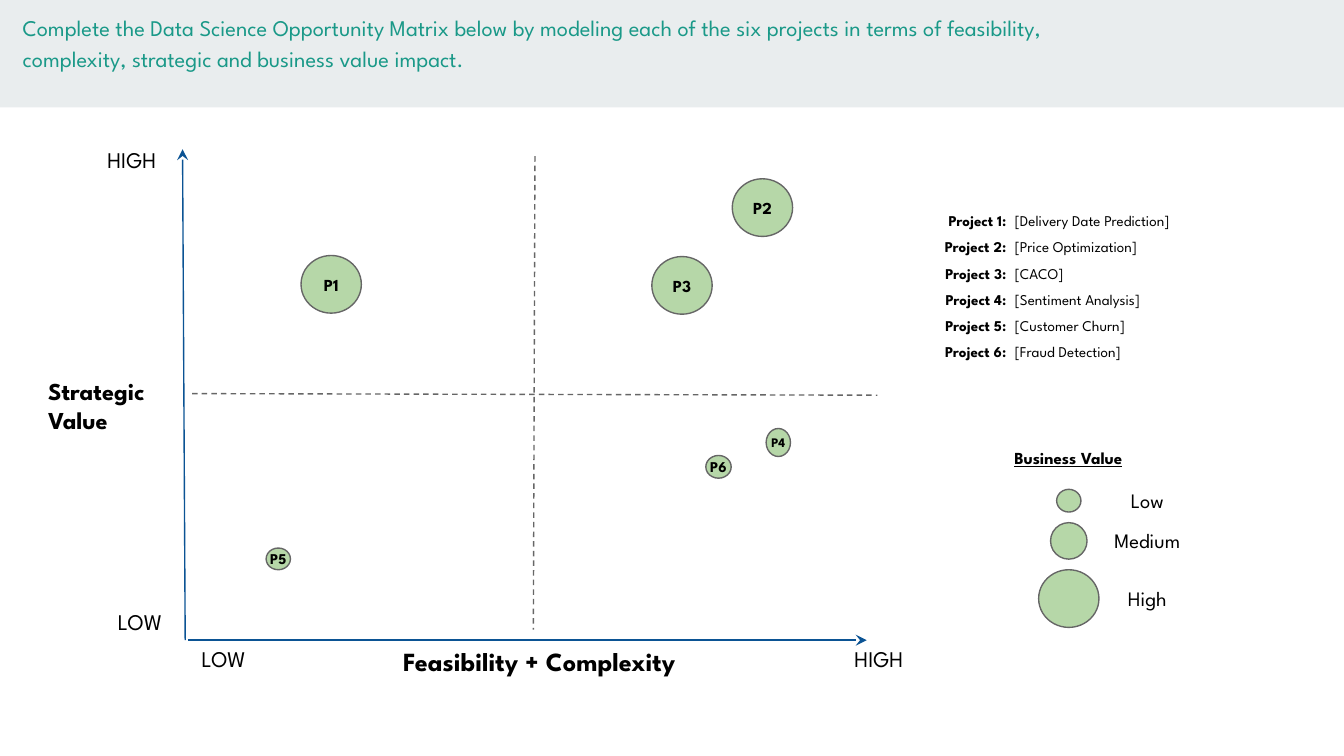
from lxml.etree import SubElement
from pptx import Presentation
from pptx.dml.color import RGBColor
from pptx.enum.dml import MSO_LINE
from pptx.enum.shapes import MSO_CONNECTOR, MSO_SHAPE
from pptx.enum.text import MSO_ANCHOR as ANCHOR, PP_ALIGN as ALIGN
from pptx.oxml.ns import qn
from pptx.util import Cm, Pt

FONT = "League Spartan"
COLORS = {
    "band": "E9EDEE", "teal": "1A9988", "text": "000000",
    "axis": "0B5394", "outline": "666666", "bubble": "B6D7A8",
}
SIZES = {"Low": (0.46, 0.43), "Medium": (0.69, 0.69), "High": (1.14, 1.09)}
PROJECTS = [
    ("Delivery Date Prediction", 0.23), ("Price Optimization", 0.46),
    ("CACO", 0.51), ("Sentiment Analysis", 0.33),
    ("Customer Churn", 0.38), ("Fraud Detection", 0.33),
]


def color(name):
    """Return the named palette colour."""
    return RGBColor.from_string(COLORS[name])


def write(tf, text, size=12, bold=False, underline=False, fill="text",
          align=ALIGN.LEFT, spacing=None):
    """Write one formatted paragraph into a text frame."""
    p = tf.paragraphs[0]
    p.alignment = align
    if spacing:
        p.line_spacing = spacing
    r = p.add_run()
    r.text = text
    r.font.name, r.font.size = FONT, Pt(size)
    r.font.bold, r.font.underline = bold, underline
    r.font.color.rgb = color(fill)


def add_text(s, x, y, w, h, text, **fmt):
    """Add a wrapping text box with even insets."""
    tf = s.shapes.add_textbox(Cm(x), Cm(y), Cm(w), Cm(h)).text_frame
    tf.word_wrap = True
    tf.margin_left = tf.margin_right = tf.margin_top = tf.margin_bottom = Cm(0.25)
    write(tf, text, **fmt)


def add_line(s, x1, y1, x2, y2, name, dashed=False, arrow=False):
    """Add a thin straight line, optionally dashed or arrowed at its end."""
    line = s.shapes.add_connector(
        MSO_CONNECTOR.STRAIGHT, Cm(x1), Cm(y1), Cm(x2), Cm(y2))
    line.line.color.rgb = color(name)
    line.line.width = Pt(0.75)
    if dashed:
        line.line.dash_style = MSO_LINE.DASH
    sp_pr = line._element.spPr
    if arrow:
        SubElement(sp_pr.find(qn("a:ln")), qn("a:tailEnd"), type="stealth")
    SubElement(sp_pr, qn("a:effectLst"))


def add_bubble(s, x, y, w, h, text=None, size=9):
    """Add an outlined bubble with an optional centred label."""
    sp = s.shapes.add_shape(MSO_SHAPE.OVAL, Cm(x), Cm(y), Cm(w), Cm(h))
    sp.shadow.inherit = False
    sp.fill.solid()
    sp.fill.fore_color.rgb = color("bubble")
    sp.line.color.rgb = color("outline")
    sp.line.width = Pt(0.75)
    if text:
        tf = sp.text_frame
        tf.word_wrap = False
        tf.vertical_anchor = ANCHOR.MIDDLE
        tf.margin_left = tf.margin_right = tf.margin_top = tf.margin_bottom = 0
        write(tf, text, size=size, bold=True, align=ALIGN.CENTER)


def add_header(s, x, y, w, h):
    """Add the instruction band."""
    sp = s.shapes.add_shape(MSO_SHAPE.RECTANGLE, Cm(x), Cm(y), Cm(w), Cm(h))
    sp.shadow.inherit = False
    sp.fill.solid()
    sp.fill.fore_color.rgb = color("band")
    sp.line.fill.background()
    add_text(s, x + 0.18, y - 0.05, w - 3.96, 0.94,
             "Complete the Data Science Opportunity Matrix below by modeling "
             "each of the six projects in terms of feasibility, complexity, "
             "strategic and business value impact.",
             fill="teal", spacing=1.15)


def add_matrix(s, x, y, w, h):
    """Add the axes, quadrant lines, axis labels and project bubbles."""
    add_line(s, x + 6.61, y + 0.13, x + 6.58, y + h - 0.2, "outline", dashed=True)
    add_line(s, x + 0.13, y + 4.62, x + w + 0.2, y + 4.65, "outline", dashed=True)
    add_line(s, x, y + h, x - 0.05, y, "axis", arrow=True)
    add_line(s, x + 0.06, y + h, x + w, y + h, "axis", arrow=True)

    below = y + h - 0.15
    add_text(s, x - 2.84, y + 4.04, 3, 1.14, "Strategic Value", size=13, bold=True)
    add_text(s, x + 2.29, below, 8.81, 1.14, "Feasibility + Complexity",
             size=14, bold=True, align=ALIGN.CENTER)
    for dx, top, text in [(-1.72, y - 0.31, "HIGH"), (-1.52, y + 8.43, "LOW"),
                          (0.06, below, "LOW"), (12.4, below, "HIGH")]:
        add_text(s, x + dx, top, 2.08, 0.61, text)

    high = SIZES["High"]
    for name, dx, dy, (bw, bh), size in [
        ("P1", 2.19, 2.01, high, 9), ("P2", 10.34, 0.56, high, 9),
        ("P3", 8.82, 2.03, high, 9), ("P4", 10.98, 5.28, (0.46, 0.53), 7),
        ("P5", 1.53, 7.54, (0.46, 0.41), 8), ("P6", 9.84, 5.79, (0.48, 0.43), 8),
    ]:
        add_bubble(s, x + dx, y + dy, bw, bh, name, size)


def add_projects(s, x, y, w, h):
    """Add the table of project names."""
    table = s.shapes.add_table(
        len(PROJECTS), 3, Cm(x), Cm(y), Cm(w), Cm(h)).table
    table.first_row = table.horz_banding = False
    for col, width in zip(table.columns, (1.7, 2.64, w - 4.34)):
        col.width = Cm(width)
    for i, (project, height) in enumerate(PROJECTS):
        table.rows[i].height = Cm(height)
        table.cell(i, 1).merge(table.cell(i, 2))
        for cell in table.rows[i].cells:
            cell.fill.background()
            cell.vertical_anchor = ANCHOR.BOTTOM
            cell.margin_left = cell.margin_right = Cm(0.08)
            cell.margin_top = cell.margin_bottom = Cm(0.05)
        write(table.cell(i, 0).text_frame, f"Project {i + 1}:", size=8,
              bold=True, align=ALIGN.RIGHT, spacing=1.15)
        write(table.cell(i, 1).text_frame, f"[{project}]", size=8, spacing=1.15)


def add_legend(s, x, y, w):
    """Add the key from bubble size to business value."""
    add_text(s, x, y, w, 0.94, "Business Value", size=9, bold=True, underline=True)
    for (level, (bw, bh)), dy in zip(SIZES.items(), (0.97, 1.6, 2.49)):
        add_bubble(s, x + 1.28 - bw / 2, y + dy, bw, bh)
        add_text(s, x + 1.76, y + dy + bh / 2 - 0.47, 2.01, 0.94, level,
                 size=11, align=ALIGN.CENTER)


def main():
    """Build and save the slide."""
    prs = Presentation()
    prs.slide_width, prs.slide_height = Cm(25.4), Cm(14.29)
    s = prs.slides.add_slide(prs.slide_layouts[6])
    add_header(s, 0, 0, 25.4, 2.03)
    add_matrix(s, 3.5, 2.82, 12.88, 9.28)
    add_projects(s, 17.4, 3.91, 7.75, 2.24)
    add_legend(s, 18.92, 8.28, 4.72)
    prs.save("out.pptx")


if __name__ == "__main__":
    main()
